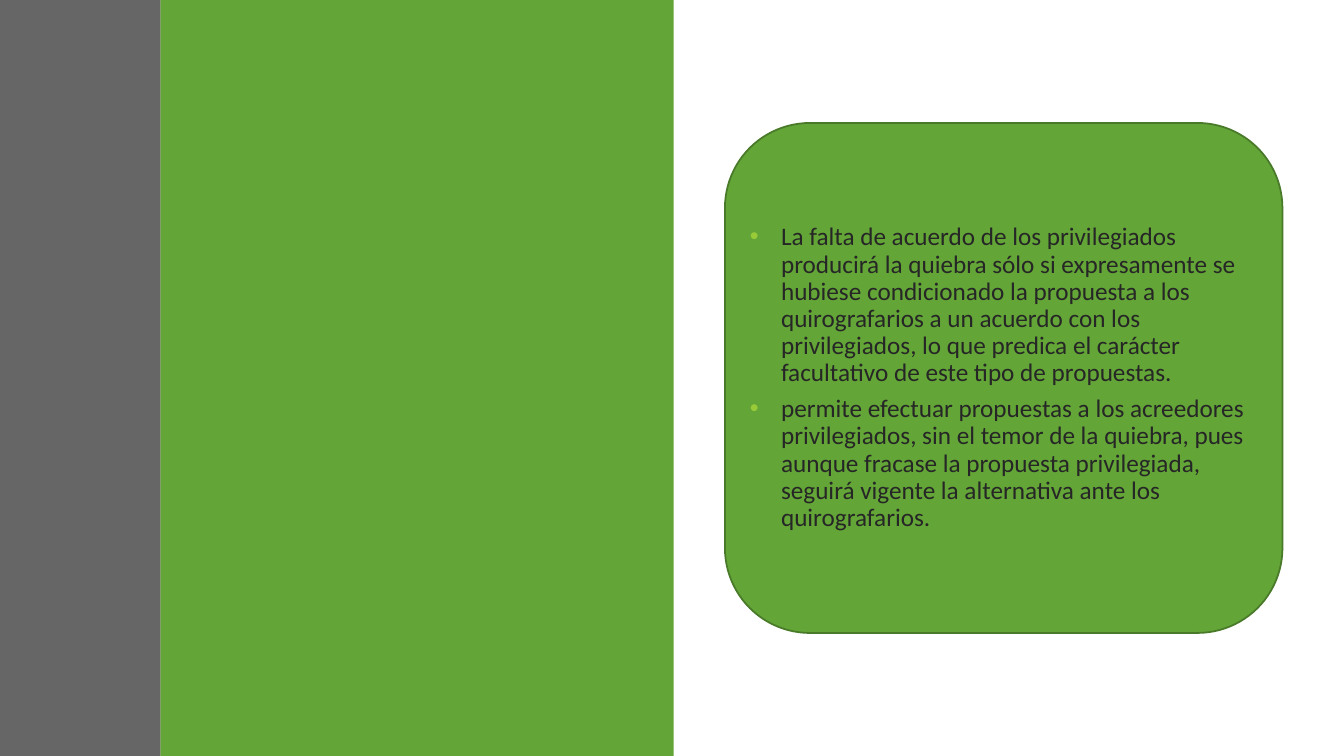
from pptx import Presentation
from pptx.dml.color import RGBColor
from pptx.enum.shapes import MSO_SHAPE as Preset
from pptx.enum.text import MSO_ANCHOR as Anchor, PP_ALIGN as Align
from pptx.oxml.ns import qn
from pptx.util import Inches, Pt
from lxml.etree import SubElement

GREEN, DARK_GREEN, LIME = "63A537", "497A29", "99CB38"
GREY, INK = "404040", "262626"
POINTS = [
    "La falta de acuerdo de los privilegiados producirá la quiebra sólo si "
    "expresamente se hubiese condicionado la propuesta a los quirografarios "
    "a un acuerdo con los privilegiados, lo que predica el carácter "
    "facultativo de este tipo de propuestas.",
    "permite efectuar propuestas a los acreedores privilegiados, sin el temor "
    "de la quiebra, pues aunque fracase la propuesta privilegiada, seguirá "
    "vigente la alternativa ante los quirografarios.",
]


def paint(color_format, color):
    """Set a colour from a hex string."""
    color_format.rgb = RGBColor.from_string(color)


def add_block(slide, preset, left, top, width, height, color):
    """Add a filled shape without outline or shadow."""
    block = slide.shapes.add_shape(
        preset, Inches(left), Inches(top), Inches(width), Inches(height))
    block.shadow.inherit = False
    block.fill.solid()
    paint(block.fill.fore_color, color)
    block.line.fill.background()
    return block


def set_opacity(block, percent):
    """Make the fill of a block partly transparent."""
    fill_color = block.fill._xPr.find(qn("a:solidFill"))[0]
    SubElement(fill_color, qn("a:alpha"), val=str(percent * 1000))


def add_bullet(paragraph, color):
    """Give a paragraph a coloured bullet with a hanging indent."""
    properties = paragraph._p.get_or_add_pPr()
    properties.set("marL", str(Inches(0.31)))
    properties.set("indent", str(Inches(-0.31)))
    bullet_color = SubElement(properties, qn("a:buClr"))
    SubElement(bullet_color, qn("a:srgbClr"), val=color)
    SubElement(properties, qn("a:buFont"), typeface="Arial")
    SubElement(properties, qn("a:buChar"), char="•")


def write_points(card, points):
    """Write the points as a bulleted list in the card."""
    frame = card.text_frame
    frame.word_wrap = True
    frame.vertical_anchor = Anchor.MIDDLE
    frame.margin_left = frame.margin_right = Inches(0)
    frame.margin_top = frame.margin_bottom = Inches(0.05)
    for index, point in enumerate(points):
        paragraph = frame.add_paragraph() if index else frame.paragraphs[0]
        add_bullet(paragraph, LIME)
        paragraph.alignment = Align.LEFT
        paragraph.line_spacing = 0.9
        paragraph.space_after = Pt(6)
        run = paragraph.add_run()
        run.text = point
        run.font.name = "Calibri"
        run.font.size = Pt(18)
        paint(run.font.color, INK)


def main():
    """Build the slide and save it."""
    deck = Presentation()
    deck.slide_width, deck.slide_height = Inches(13.33), Inches(7.5)
    slide = deck.slides.add_slide(deck.slide_layouts[6])
    add_block(slide, Preset.RECTANGLE, 1.59, 0, 5.09, 7.5, GREEN)
    side_band = add_block(slide, Preset.RECTANGLE, 0, 0, 1.59, 7.5, GREY)
    set_opacity(side_band, 80)
    card = add_block(
        slide, Preset.ROUNDED_RECTANGLE, 7.19, 1.22, 5.53, 5.06, GREEN)
    card.line.width = Pt(1.25)
    card.line.fill.solid()
    paint(card.line.color, DARK_GREEN)
    write_points(card, POINTS)
    deck.save("out.pptx")


if __name__ == "__main__":
    main()
